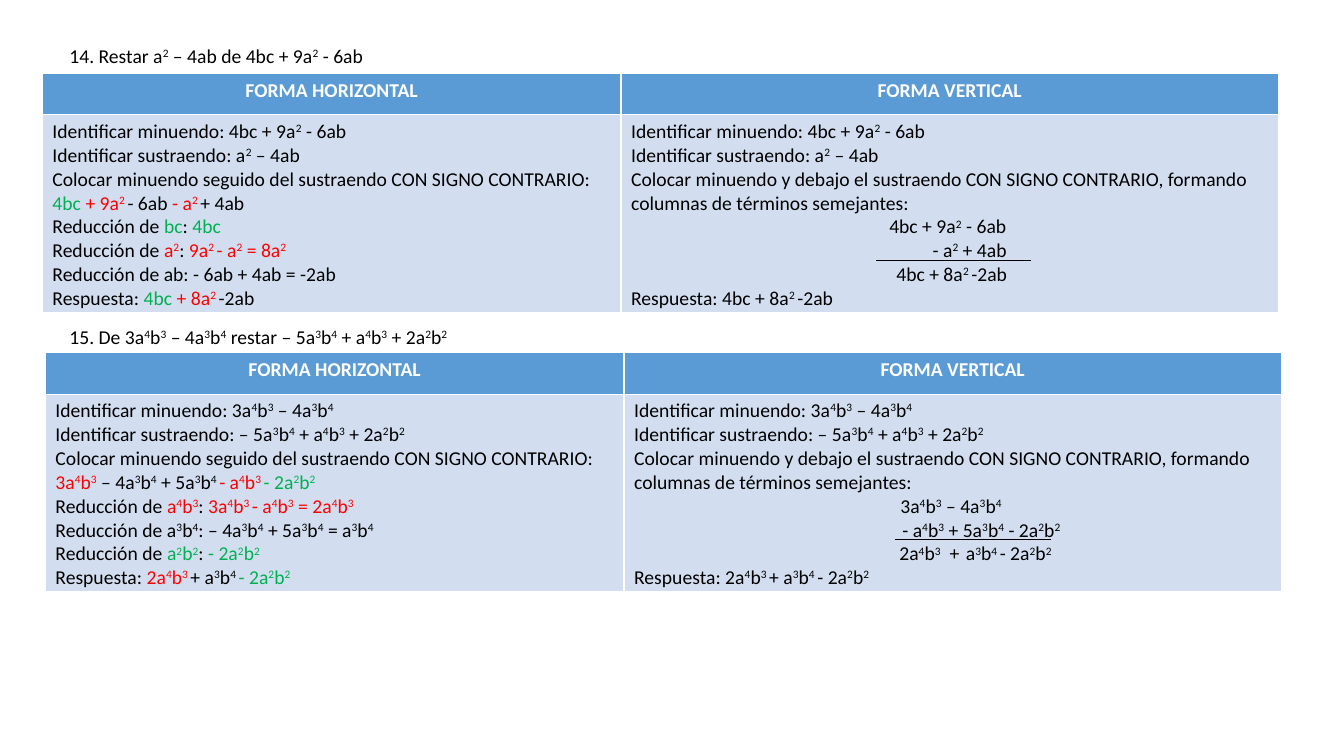
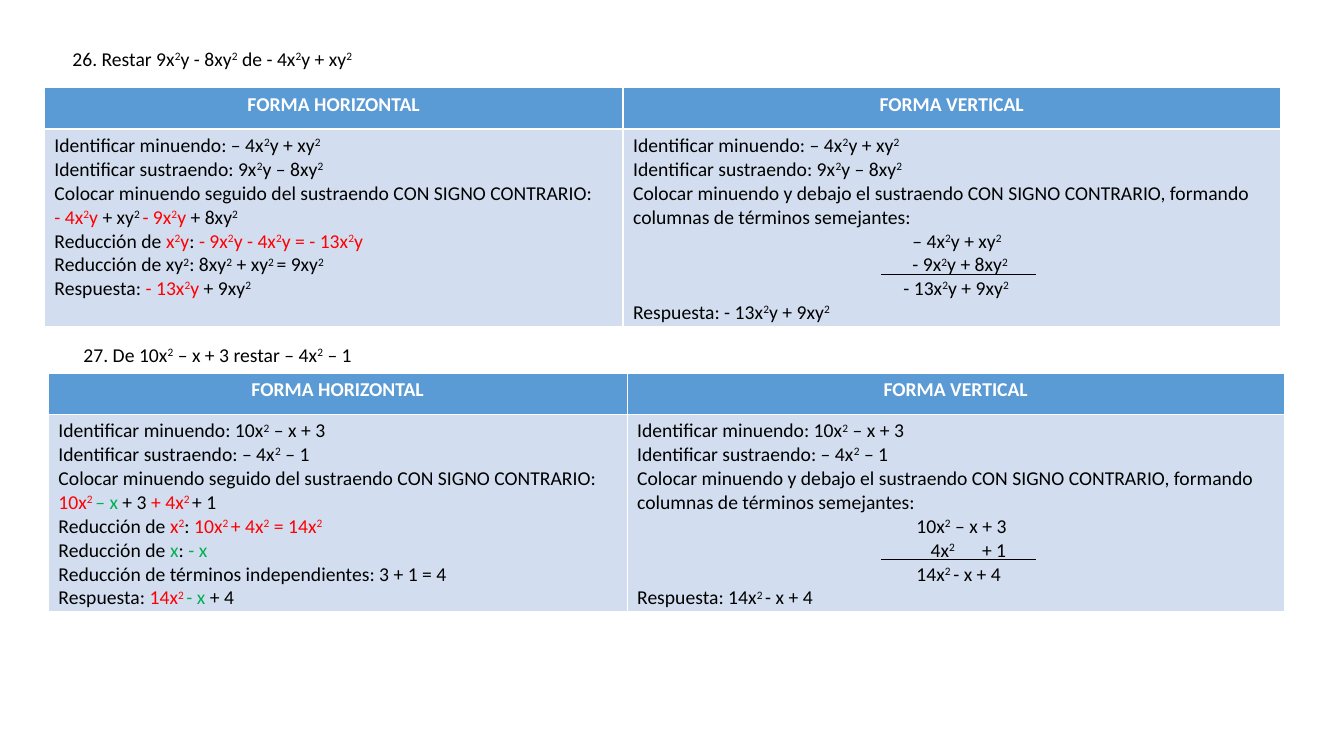
from lxml import etree
from pptx import Presentation
from pptx.dml.color import RGBColor
from pptx.enum.shapes import MSO_CONNECTOR
from pptx.enum.text import MSO_AUTO_SIZE, PP_ALIGN
from pptx.oxml.ns import qn
from pptx.util import Inches, Pt

STRAIGHT = MSO_CONNECTOR.STRAIGHT
CENTER = PP_ALIGN.CENTER
FIT = MSO_AUTO_SIZE.SHAPE_TO_FIT_TEXT

COLORS = {"text": "000000", "head": "5B9BD5", "body": "D2DEEF",
          "white": "FFFFFF", "red": "FF0000", "green": "00B050"}
FONT, SIZE = "Calibri", 14

# Markup: {red}, <green>, _ is a raised space, a digit after a variable is a power
MARKS = {"{": "red", "<": "green", "}": "text", ">": "text"}
VARS = "abxy"

HEADS = ("FORMA HORIZONTAL", "FORMA VERTICAL")
COLS, ROWS = (5.74, 6.52), (0.41, 1.96)
RULE_DY, RULE_W = 1.85, 1.54

# Each row of "sum" lists (tab stop, text) pairs
SLIDES = [
    [
        {"title": "14. Restar a2 – 4ab de 4bc + 9a2 - 6ab",
         "box": (0.59, 0.39, 3.2), "table": (0.42, 0.73), "rule": 8.69,
         "min": "4bc + 9a2 - 6ab", "sub": "a2 – 4ab",
         "steps": ["<4bc >{+ 9a2_}- 6ab {- a2_}+ 4ab",
                   "Reducción de <bc>: <4bc>",
                   "Reducción de {a2}: {9a2_- a2 = 8a2}",
                   "Reducción de ab: - 6ab + 4ab = -2ab"],
         "sum": [[(2.56, "4bc + 9a2 - 6ab")],
                 [(2.99, "- a2 + 4ab")],
                 [(2.63, "4bc + 8a2_-2ab")]],
         "answer": "<4bc>{ + 8a2_}-2ab"},
        {"title": "15. De 3a4b3 – 4a3b4 restar – 5a3b4 + a4b3 + 2a2b2",
         "box": (0.59, 3.17, 4.07), "table": (0.45, 3.5), "rule": 8.88,
         "min": "3a4b3 – 4a3b4", "sub": "– 5a3b4 + a4b3 + 2a2b2",
         "steps": ["{3a4b3} – 4a3b4 + 5a3b4_{- a4b3_}<- 2a2b2>",
                   "Reducción de {a4b3}: {3a4b3_- a4b3 = 2a4b3}",
                   "Reducción de a3b4: – 4a3b4 + 5a3b4 = a3b4",
                   "Reducción de <a2b2>: <- 2a2b2>"],
         "sum": [[(2.64, "3a4b3 – 4a3b4")],
                 [(2.66, "- a4b3 + 5a3b4 - 2a2b2")],
                 [(2.63, "2a4b3"), (3.13, "+"), (3.29, "a3b4_- 2a2b2")]],
         "answer": "{2a4b3_}+ a3b4_<- 2a2b2>"},
    ],
    [
        {"title": "26. Restar 9x2y - 8xy2 de - 4x2y + xy2",
         "box": (0.62, 0.42, 3.04), "table": (0.44, 0.87), "rule": 8.74,
         "min": "– 4x2y + xy2", "sub": "9x2y – 8xy2",
         "steps": ["{- 4x2y }+ xy2_{- 9x2y} + 8xy2",
                   "Reducción de {x2y}: {- 9x2y - 4x2y = - 13x2y}",
                   "Reducción de xy2: 8xy2 + xy2_= 9xy2"],
         "sum": [[(2.77, "– 4x2y + xy2")],
                 [(2.77, "- 9x2y + 8xy2")],
                 [(2.68, "- 13x2y + 9xy2")]],
         "answer": "{- 13x2y }+ 9xy2"},
        {"title": "27. De 10x2 – x + 3 restar – 4x2 – 1",
         "box": (0.73, 3.35, 2.9), "table": (0.48, 3.7), "rule": 8.74,
         "min": "10x2 – x + 3", "sub": "– 4x2 – 1",
         "steps": ["{10x2_}<– x> + 3 {+ 4x2_}+ 1",
                   "Reducción de {x2}: {10x2_+ 4x2 = 14x2}",
                   "Reducción de <x>: <- x>",
                   "Reducción de términos independientes: 3 + 1 = 4"],
         "sum": [[(2.77, "10x2 – x + 3")],
                 [(2.91, "4x2"), (3.42, "+ 1")],
                 [(2.77, "14x2_- x + 4")]],
         "answer": "{14x2_}<- x >+ 4"},
    ],
]


def rgb(name):
    return RGBColor.from_string(COLORS[name])


def split(text):
    """Turn marked text into [text, colour, raised] pieces."""
    parts, color, last = [], "text", ""
    for char in text:
        if char in MARKS:
            color = MARKS[char]
            continue
        high = char == "_" or (char.isdigit() and last != "" and last in VARS)
        last = char
        char = " " if char == "_" else char
        if parts and parts[-1][1:] == [color, high]:
            parts[-1][0] += char
        else:
            parts.append([char, color, high])
    return parts


def style(run, color, bold=False):
    font = run.font
    font.name, font.size, font.bold = FONT, Pt(SIZE), bold
    font.color.rgb = rgb(color)


def write(para, text):
    for part, color, high in split(text):
        run = para.add_run()
        run.text = part
        style(run, color)
        if high:
            run.font._element.set("baseline", "30000")


def add_tabs(para, stops):
    tabs = etree.SubElement(para._p.get_or_add_pPr(), qn("a:tabLst"))
    for stop in stops:
        etree.SubElement(tabs, qn("a:tab"), pos=str(Inches(stop)), algn="l")


def fill_cell(cell, lines):
    """Write lines; a list of pairs becomes text set on tab stops."""
    frame = cell.text_frame
    for i, line in enumerate(lines):
        para = frame.add_paragraph() if i else frame.paragraphs[0]
        if isinstance(line, list):
            add_tabs(para, [stop for stop, _ in line])
            line = "".join("\t" + text for _, text in line)
        write(para, line)


def plain(text):
    return "".join(char for char in text if char not in MARKS)


def add_title(slide, text, left, top, width):
    box = slide.shapes.add_textbox(Inches(left), Inches(top),
                                   Inches(width), Inches(0.34))
    frame = box.text_frame
    frame.word_wrap, frame.auto_size = False, FIT
    write(frame.paragraphs[0], text)


def add_grid(slide, left, top, bodies):
    grid = slide.shapes.add_table(2, 2, Inches(left), Inches(top),
                                  Inches(sum(COLS)), Inches(sum(ROWS))).table
    for row, height in zip(grid.rows, ROWS):
        row.height = Inches(height)
    for i, width in enumerate(COLS):
        grid.columns[i].width = Inches(width)
        head, body = grid.cell(0, i), grid.cell(1, i)
        for cell, color in ((head, "head"), (body, "body")):
            cell.fill.solid()
            cell.fill.fore_color.rgb = rgb(color)
        head.text_frame.text = HEADS[i]
        para = head.text_frame.paragraphs[0]
        para.alignment = CENTER
        style(para.runs[0], "white", True)
        body.margin_bottom = 0
        fill_cell(body, bodies[i])


def add_rule(slide, left, top):
    line = slide.shapes.add_connector(STRAIGHT, Inches(left), Inches(top),
                                      Inches(left + RULE_W), Inches(top))
    line.line.color.rgb = rgb("text")
    line.line.width = Pt(0.5)
    etree.SubElement(line._element.spPr, qn("a:effectLst"))


def add_task(slide, task):
    left, top = task["table"]
    start = ["Identificar minuendo: " + task["min"],
             "Identificar sustraendo: " + task["sub"]]
    across = start + [
        "Colocar minuendo seguido del sustraendo CON SIGNO CONTRARIO:",
        *task["steps"], "Respuesta: " + task["answer"]]
    down = start + [
        "Colocar minuendo y debajo el sustraendo CON SIGNO CONTRARIO, "
        "formando columnas de términos semejantes:",
        *task["sum"], "Respuesta: " + plain(task["answer"])]
    add_title(slide, task["title"], *task["box"])
    add_grid(slide, left, top, (across, down))
    add_rule(slide, task["rule"], top + RULE_DY)


def main():
    deck = Presentation()
    deck.slide_width, deck.slide_height = Inches(13.33), Inches(7.5)
    for tasks in SLIDES:
        slide = deck.slides.add_slide(deck.slide_layouts[6])
        for task in tasks:
            add_task(slide, task)
    deck.save("out.pptx")


if __name__ == "__main__":
    main()
